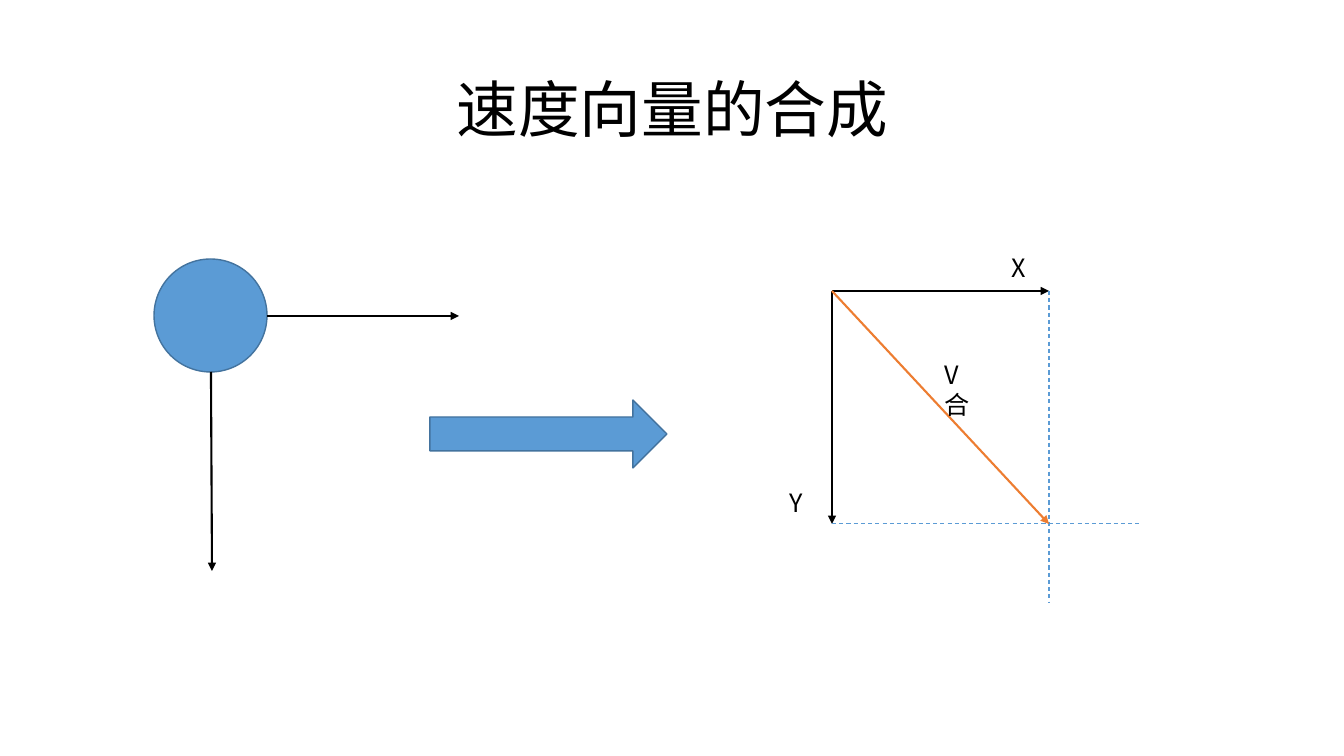
import pptx
import pptx.util
import pptx.dml.color
import pptx.enum.dml
import pptx.enum.shapes
import pptx.enum.text
import pptx.oxml.ns
import lxml.etree

EMU_PER_PX = 914400 / 100.8
FONT = "Noto Sans CJK SC"
BLACK, BLUE, DARK_BLUE, ORANGE = "000000", "5B9BD5", "43739E", "ED7D31"


def px(length):
    return pptx.util.Emu(round(length * EMU_PER_PX))


def colour(value):
    return pptx.dml.color.RGBColor.from_string(value)


def add_xml(parent, tag, **attributes):
    return lxml.etree.SubElement(parent, pptx.oxml.ns.qn(tag), attributes)


def add_solid(slide, preset, left, top, width, height):
    solid = slide.shapes.add_shape(preset, px(left), px(top), px(width), px(height))
    solid.shadow.inherit = False
    solid.fill.solid()
    solid.fill.fore_color.rgb = colour(BLUE)
    solid.line.color.rgb = colour(DARK_BLUE)
    solid.line.width = pptx.util.Pt(1)


def add_line(slide, start, end, stroke, width):
    line = slide.shapes.add_connector(
        pptx.enum.shapes.MSO_CONNECTOR.STRAIGHT, *map(px, start + end))
    line.line.color.rgb = colour(stroke)
    line.line.width = pptx.util.Pt(width)
    add_xml(line._element.spPr, "a:effectLst")
    return line


def add_vector(slide, start, end, stroke=BLACK):
    vector = add_line(slide, start, end, stroke, 1.5)
    add_xml(vector.line._get_or_add_ln(), "a:tailEnd", type="triangle")


def add_guide(slide, start, end):
    guide = add_line(slide, start, end, BLUE, 0.75)
    guide.line.dash_style = pptx.enum.dml.MSO_LINE.DASH


def add_text(slide, text, left, top, width, height, size=18, wrap=False):
    box = slide.shapes.add_textbox(px(left), px(top), px(width), px(height))
    frame = box.text_frame
    frame.word_wrap = wrap
    frame.text = text
    run = frame.paragraphs[0].runs[0]
    run.font.size = pptx.util.Pt(size)
    run.font.name = FONT
    run.font.color.rgb = colour(BLACK)
    add_xml(run.font._element, "a:ea", typeface=FONT)
    return frame


def add_title(slide, text):
    frame = add_text(slide, text, 93, 40, 1159, 146, size=44, wrap=True)
    frame.vertical_anchor = pptx.enum.text.MSO_ANCHOR.MIDDLE
    frame.paragraphs[0].alignment = pptx.enum.text.PP_ALIGN.CENTER
    frame.paragraphs[0].line_spacing = 0.9


def add_moving_ball(slide):
    add_solid(slide, pptx.enum.shapes.MSO_SHAPE.OVAL, 154, 259, 113, 113)
    add_vector(slide, (267, 316), (459, 316))
    add_vector(slide, (211, 372), (212, 571))


def add_composition(slide):
    left, top, right, bottom = 832, 291, 1049, 524
    origin, resultant = (left, top), (right, bottom)
    add_vector(slide, origin, (right, top))
    add_vector(slide, origin, (left, bottom))
    add_guide(slide, (right, top), (right, 603))
    add_guide(slide, (left, bottom), (1140, bottom))
    add_vector(slide, origin, resultant, ORANGE)
    add_text(slide, "X", 1002, 247, 35, 40)
    add_text(slide, "Y", 780, 482, 34, 40)
    resultant_label = add_text(slide, "V合", 935, 354, 62, 40, wrap=True)
    resultant_label.margin_right = px(20)


def main():
    deck = pptx.Presentation()
    deck.slide_width, deck.slide_height = px(1344), px(756)
    slide = deck.slides.add_slide(deck.slide_layouts[6])
    add_title(slide, "速度向量的合成")
    add_moving_ball(slide)
    add_solid(slide, pptx.enum.shapes.MSO_SHAPE.RIGHT_ARROW, 430, 400, 237, 68)
    add_composition(slide)
    deck.save("out.pptx")


if __name__ == "__main__":
    main()
